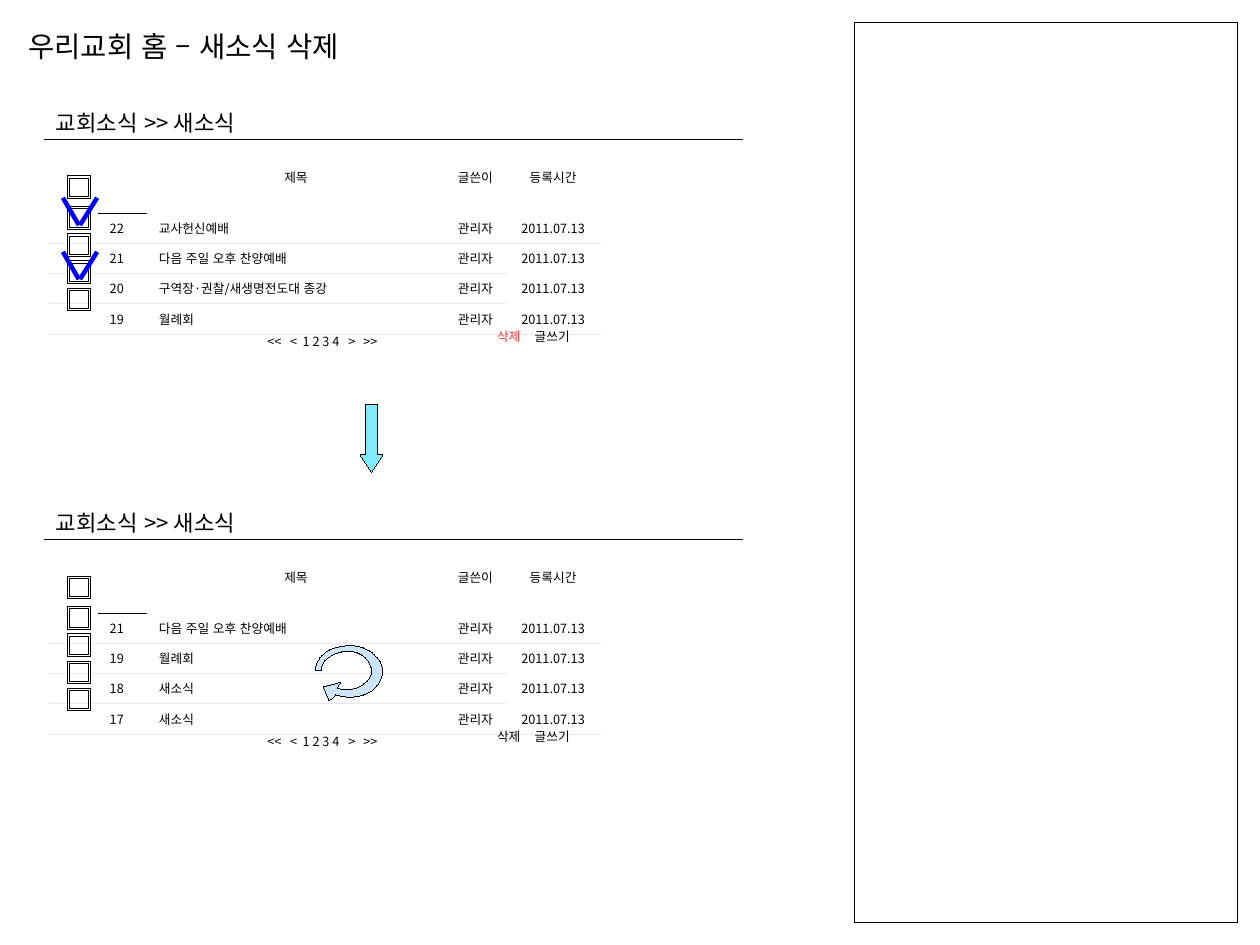
from dataclasses import dataclass

from lxml import etree
from pptx import Presentation
from pptx import util as u
from pptx.dml.color import RGBColor
from pptx.enum import lang, shapes, text
from pptx.oxml.ns import qn

In = u.Inches


@dataclass(frozen=True)
class Theme:
    font: str = "Noto Sans CJK KR"
    ink: str = "000000"
    paper: str = "FFFFFF"
    rule: str = "E6E6FF"
    alert: str = "FF3333"
    tick: str = "0000FF"
    step: str = "00DCFF"
    reload: str = "99CCFF"
    title: int = 18
    heading: int = 14
    body: int = 8
    hairline: float = 0.01
    cell_line: float = 0.06
    tick_line: float = 2.83


T = Theme()
HEADER = ("", "", "제목", "글쓴이", "등록시간")
COLUMNS = (0.43, 0.43, 2.6, 0.54, 0.82)
HEADER_H, ROW_H = 0.44, 0.265
LEFT, CENTER = text.PP_ALIGN.LEFT, text.PP_ALIGN.CENTER
BEFORE = [("22", "교사헌신예배"), ("21", "다음 주일 오후 찬양예배"),
          ("20", "구역장·권찰/새생명전도대 종강"), ("19", "월례회")]
AFTER = [("21", "다음 주일 오후 찬양예배"), ("19", "월례회"),
         ("18", "새소식"), ("17", "새소식")]


def rgb(value):
    return RGBColor.from_string(value)


def write(tf, *parts, size=T.body, align=LEFT, tabs=()):
    """Fill the first paragraph with (text, colour) parts; tabs are in inches."""
    p = tf.paragraphs[0]
    p.alignment = align
    if tabs:
        stops = etree.SubElement(p._p.get_or_add_pPr(), qn("a:tabLst"))
        for stop in tabs:
            etree.SubElement(stops, qn("a:tab"), pos=str(In(stop)), algn="l")
    for words, colour in parts:
        r = p.add_run()
        r.text = words
        r.font.size = u.Pt(size)
        r.font.language_id = lang.MSO_LANGUAGE_ID.KOREAN
        r.font.color.rgb = rgb(colour)
        r.font.name = T.font
        etree.SubElement(r._r.get_or_add_rPr(), qn("a:ea"), typeface=T.font)


def add_text(s, x, y, w, h, *parts, **fmt):
    tf = s.shapes.add_textbox(In(x), In(y), In(w), In(h)).text_frame
    tf.word_wrap = True
    tf.auto_size = text.MSO_AUTO_SIZE.SHAPE_TO_FIT_TEXT
    write(tf, *parts, **fmt)


def add_line(s, x1, y1, x2, y2, colour=T.ink, width=T.hairline):
    c = s.shapes.add_connector(shapes.MSO_CONNECTOR.STRAIGHT, In(x1), In(y1), In(x2), In(y2))
    c.line.color.rgb = rgb(colour)
    c.line.width = u.Pt(width)
    etree.SubElement(c._element.spPr, qn("a:effectLst"))


def paint(sp, colour):
    """Half-transparent fill with a thin dark outline."""
    sp.shadow.inherit = False
    sp.fill.solid()
    sp.fill.fore_color.rgb = rgb(colour)
    clr = sp._element.spPr.find(qn("a:solidFill"))[0]
    etree.SubElement(clr, qn("a:alpha"), val="50000")
    sp.line.color.rgb = rgb(T.ink)
    sp.line.width = u.Pt(T.hairline)


def add_preset(s, kind, x, y, w, h, colour=T.paper, adj=()):
    sp = s.shapes.add_shape(kind, In(x), In(y), In(w), In(h))
    for i, value in enumerate(adj):
        sp.adjustments[i] = value
    paint(sp, colour)


def line_below(row, col):
    """Colour of the rule under a table row at a column, or None."""
    if row == 0:
        return T.ink if col == 1 else None
    if row in (2, 3) and col == len(COLUMNS) - 1:
        return None
    return T.rule if row > 0 else None


def set_borders(cell, **colours):
    tcPr = cell._tc.get_or_add_tcPr()
    for side in "LRTB":
        colour = colours.get(side)
        ln = etree.SubElement(tcPr, qn(f"a:ln{side}"), w=str(u.Pt(T.cell_line)))
        if colour:
            fill = etree.SubElement(ln, qn("a:solidFill"))
            etree.SubElement(fill, qn("a:srgbClr"), val=colour)
        else:
            etree.SubElement(ln, qn("a:noFill"))


def news_table(s, x, y, posts):
    rows = [HEADER] + [("", *post, "관리자", "2011.07.13") for post in posts]
    height = HEADER_H + ROW_H * len(posts)
    table = s.shapes.add_table(len(rows), len(COLUMNS), In(x), In(y),
                               In(sum(COLUMNS)), In(height)).table
    table.first_row = table.horz_banding = False
    for column, width in zip(table.columns, COLUMNS):
        column.width = In(width)
    for i, row in enumerate(rows):
        table.rows[i].height = In(ROW_H if i else HEADER_H)
        for j, words in enumerate(row):
            cell = table.cell(i, j)
            set_borders(cell, T=line_below(i - 1, j), B=line_below(i, j))
            cell.fill.solid()
            cell.fill.fore_color.rgb = rgb(T.paper)
            if words:
                write(cell.text_frame, (words, T.ink),
                      align=CENTER if i == 0 or j > 2 else LEFT)
            else:
                p = cell.text_frame.paragraphs[0]._p
                etree.SubElement(p, qn("a:endParaRPr"), sz=str(T.body * 100))


def tick(s, x, y):
    for x1, x2 in ((0, 0.14), (0.3, 0.15)):
        add_line(s, x + x1, y, x + x2, y + 0.24, T.tick, T.tick_line)


def news_panel(s, x, y, posts, delete_colour=T.ink, checked=()):
    add_line(s, x, y + 0.31, x + 6.11, y + 0.31)
    add_text(s, x, y, 1.91, 0.38, ("교회소식 >> 새소식", T.ink), size=T.heading)
    news_table(s, x + 0.04, y + 0.51, posts)
    box_tops = [y + 0.9 + 0.71 / 3 * i for i in range(len(posts))]
    for top in [y + 0.63] + box_tops:
        add_preset(s, shapes.MSO_SHAPE.FRAME, x + 0.2, top, 0.2, 0.2, adj=[0.093])
    add_text(s, x + 1.85, y + 1.96, 1.33, 0.25, ("<<\t<\t1 2 3 4\t>\t>>", T.ink),
             tabs=(0.2, 0.31, 0.71, 0.84))
    add_text(s, x + 3.86, y + 1.92, 0.89, 0.26, ("삭제", delete_colour),
             ("\t글쓰기", T.ink), tabs=(0.33,))
    for i in checked:
        tick(s, x + 0.16, box_tops[i] - 0.08)


def curve(a, b, c, d, steps=12):
    """Points along a cubic curve, without its first one."""
    for t in (i / steps for i in range(1, steps + 1)):
        k = 1 - t
        yield tuple(k**3 * p + 3 * k * k * t * q + 3 * k * t * t * m + t**3 * n
                    for p, q, m, n in zip(a, b, c, d))


def reload_arrow(s, x, y):
    """Curved arrow; its points are in hundredths of an inch."""
    inner = [(19, 37), (28, 40), (38, 38), (44, 32), (50, 27), (51, 19), (45, 12),
             (40, 6), (30, 3), (21, 6), (12, 8), (5, 14), (5, 22)]
    outer = [(0, 22), (0, 12), (8, 3), (21, 1), (33, -2), (46, 1), (54, 10),
             (61, 18), (60, 29), (52, 37), (44, 45), (30, 47), (18, 43)]
    head = [(12, 48), (7, 36), (22, 32)]
    points = []
    for arc in (inner, outer):
        points.append(arc[0])
        for i in range(0, len(arc) - 1, 3):
            points.extend(curve(*arc[i:i + 4]))
    fine = [(px * 100, py * 100) for px, py in points + head]
    builder = s.shapes.build_freeform(*fine[0], scale=In(1) / 10000)
    builder.add_line_segments(fine[1:], close=True)
    paint(builder.convert_to_shape(In(x), In(y)), T.reload)


def main():
    prs = Presentation()
    prs.slide_width, prs.slide_height = In(28 / 2.54), In(21 / 2.54)
    s = prs.slides.add_slide(prs.slide_layouts[6])
    add_preset(s, shapes.MSO_SHAPE.RECTANGLE, 7.48, 0.2, 3.35, 7.87)
    add_text(s, 0.15, 0.2, 3.14, 0.46, ("우리교회 홈 – 새소식 삭제", T.ink), size=T.title)
    news_panel(s, 0.39, 0.91, BEFORE, delete_colour=T.alert, checked=(0, 2))
    news_panel(s, 0.39, 4.41, AFTER)
    add_preset(s, shapes.MSO_SHAPE.DOWN_ARROW, 3.15, 3.54, 0.2, 0.59, T.step, (0.5, 0.75))
    reload_arrow(s, 2.76, 5.65)
    prs.save("out.pptx")


if __name__ == "__main__":
    main()
